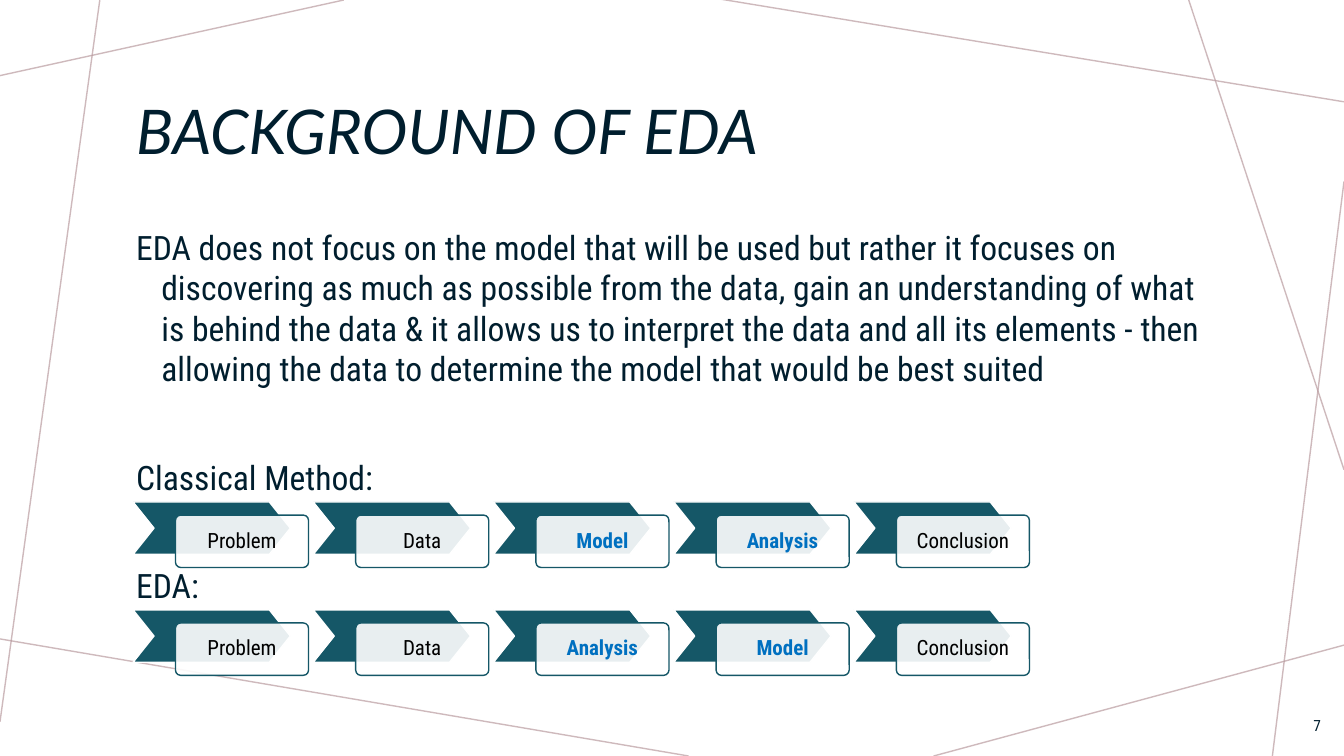
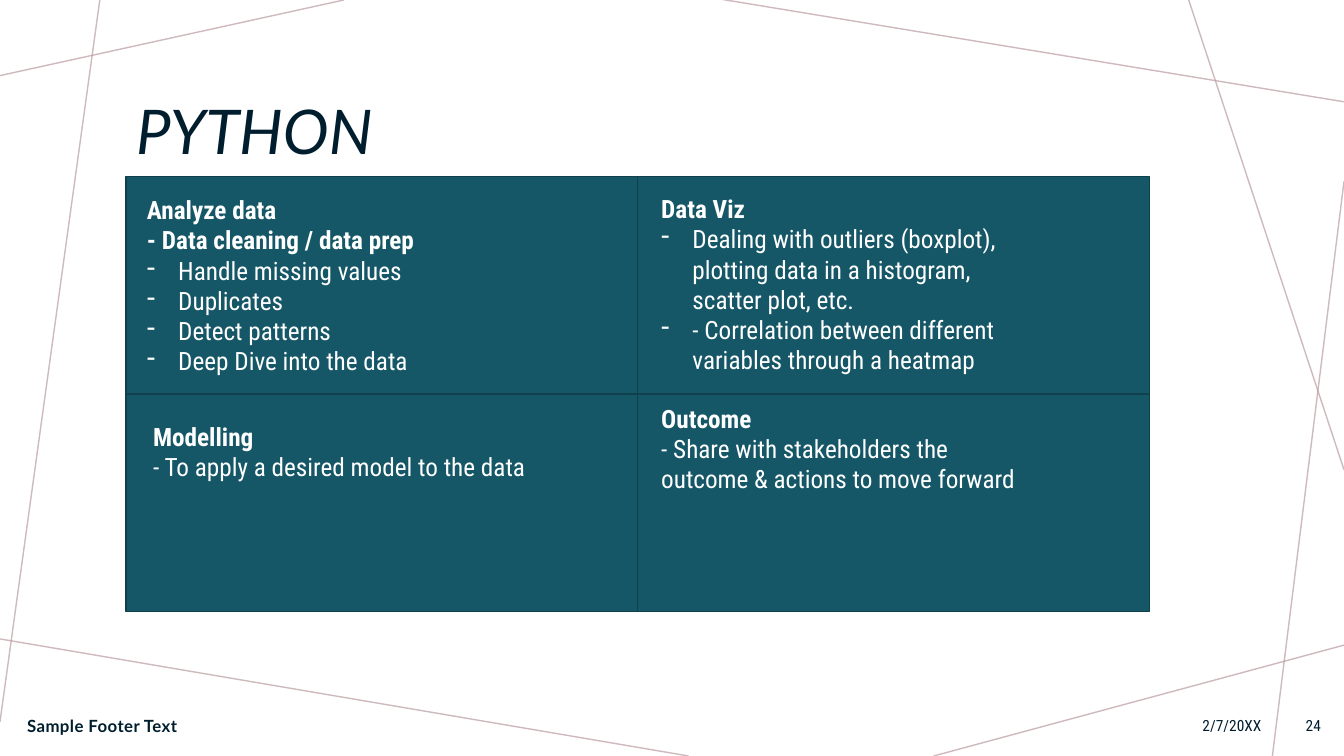
from dataclasses import dataclass

from lxml import etree
from pptx import Presentation
from pptx.dml.color import RGBColor
from pptx.enum.shapes import MSO_CONNECTOR, MSO_SHAPE
from pptx.enum.text import MSO_ANCHOR, MSO_AUTO_SIZE, PP_ALIGN
from pptx.oxml.ns import qn
from pptx.util import Inches, Pt


@dataclass(frozen=True)
class Theme:
    ink: str = "001E2E"
    teal: str = "155767"
    teal_dark: str = "10404C"
    rose: str = "BA9CA0"
    accent: str = "0070C0"
    white: str = "FFFFFF"
    black: str = "000000"
    head_font: str = "Lato"
    body_font: str = "Roboto Condensed"
    title_size: float = 44
    body_size: float = 24
    panel_size: float = 18
    step_size: float = 15
    footer_size: float = 12
    small_size: float = 11


T = Theme()
TITLE_ONLY, TITLE_AND_BODY = 5, 1
FRAME_LINES = [
    (3.41, 0, 0, 0.75),
    (0.99, 0, 0, 7.16),
    (6.83, 7.5, -0.05, 6.33),
    (13.33, 6.4, 9.26, 7.5),
    (13.33, 1.8, 12.62, 7.5),
    (13.33, 4.66, 11.79, 0),
    (13.33, 1.01, 7.14, -0.01),
]


def inches(*values):
    return [Inches(v) for v in values]


def set_alpha(parent, percent):
    """Make the solid colour found under an XML element partly transparent."""
    color = next(parent.iter(qn("a:srgbClr")))
    etree.SubElement(color, qn("a:alpha"), val=str(percent * 1000))


def set_indent(p, left, bullet=None):
    """Give a hanging indent, with a bullet character or none."""
    pPr = p._p.get_or_add_pPr()
    pPr.set("marL", str(Inches(left)))
    pPr.set("indent", str(-Inches(left)))
    if bullet:
        etree.SubElement(pPr, qn("a:buChar"), char=bullet)
    else:
        etree.SubElement(pPr, qn("a:buNone"))


def style(p, size, color, font=T.body_font, bold=False, italic=False):
    for r in p.runs:
        f = r.font
        f.name, f.size, f.bold, f.italic = font, Pt(size), bold, italic
        f.color.rgb = RGBColor.from_string(color)


def place(sp, box):
    sp.left, sp.top, sp.width, sp.height = inches(*box)


def add_paragraphs(tf, texts):
    tf.text = texts[0]
    for text in texts[1:]:
        tf.add_paragraph().text = text
    return tf.paragraphs


def add_text(s, box, texts, anchor=MSO_ANCHOR.TOP):
    tf = s.shapes.add_textbox(*inches(*box)).text_frame
    tf.word_wrap = True
    tf.vertical_anchor = anchor
    return add_paragraphs(tf, texts)


def add_block(s, kind, box, fill, line):
    sp = s.shapes.add_shape(kind, *inches(*box))
    sp.shadow.inherit = False
    sp.fill.solid()
    sp.fill.fore_color.rgb = RGBColor.from_string(fill)
    sp.line.color.rgb = RGBColor.from_string(line)
    sp.line.width = Pt(1)
    return sp


def add_frame_line(s, ends):
    line = s.shapes.add_connector(MSO_CONNECTOR.STRAIGHT, *inches(*ends))
    line.line.color.rgb = RGBColor.from_string(T.rose)
    line.line.width = Pt(1)
    spPr = line._element.spPr
    set_alpha(spPr, 70)
    etree.SubElement(spPr, qn("a:effectLst"))


def add_slide(prs, layout, title, number):
    """Add a slide with the shared frame lines, title and slide number."""
    s = prs.slides.add_slide(prs.slide_layouts[layout])
    for ends in FRAME_LINES:
        add_frame_line(s, ends)
    place(s.shapes.title, (1.25, 0.58, 10.83, 1.51))
    tf = s.shapes.title.text_frame
    tf.text = title
    tf.auto_size = MSO_AUTO_SIZE.NONE
    tf.vertical_anchor = MSO_ANCHOR.MIDDLE
    p = tf.paragraphs[0]
    p.alignment = PP_ALIGN.LEFT
    p.line_spacing = 0.9
    style(p, T.title_size, T.ink, T.head_font, italic=True)
    add_small_label(s, (12.69, 7, 0.51, 0.4), number)
    return s


def add_small_label(s, box, text):
    p = add_text(s, box, [text], MSO_ANCHOR.MIDDLE)[0]
    p.alignment = PP_ALIGN.RIGHT
    style(p, T.small_size, T.ink)


def add_footer(s, text, date):
    p = add_text(s, (0.17, 7, 4.92, 0.4), [text], MSO_ANCHOR.MIDDLE)[0]
    style(p, T.footer_size, T.ink, T.head_font, bold=True)
    p.runs[0]._r.get_or_add_rPr().set("spc", "30")
    add_small_label(s, (8.02, 7, 4.59, 0.4), date)


def fill_body(s, texts):
    body = s.placeholders[1]
    place(body, (1.25, 2.2, 10.83, 4.4))
    tf = body.text_frame
    tf.auto_size = MSO_AUTO_SIZE.NONE
    for i, p in enumerate(add_paragraphs(tf, texts)):
        set_indent(p, 0.25)
        p.space_before = Pt(48.8 if i else 0)
        style(p, T.body_size, T.ink)


def add_process(s, top, steps, highlighted):
    """Draw a row of chevrons, each with a label card in front."""
    left, pitch = 1.32, 1.7875
    for i, step in enumerate(steps):
        x = left + i * pitch
        chevron = add_block(s, MSO_SHAPE.CHEVRON, (x, top, 1.56, 0.52), T.teal, T.white)
        chevron.adjustments[0] = 0.4
        card = add_block(s, MSO_SHAPE.ROUNDED_RECTANGLE,
                         (x + 0.42, top + 0.13, 1.32, 0.52), T.white, T.teal)
        card.adjustments[0] = 0.1
        set_alpha(card.fill._xPr.find(qn("a:solidFill")), 90)
        tf = card.text_frame
        tf.margin_left = tf.margin_right = Inches(0.1)
        tf.vertical_anchor = MSO_ANCHOR.MIDDLE
        tf.text = step
        p = tf.paragraphs[0]
        p.alignment = PP_ALIGN.CENTER
        p.line_spacing = 0.9
        marked = step in highlighted
        style(p, T.step_size, T.accent if marked else T.black, bold=marked)


def add_panel_text(s, box, headings, lines, bulleted=False):
    """Write bold headings, then plain lines with or without dash bullets."""
    for i, p in enumerate(add_paragraphs_box(s, box, headings + lines)):
        is_heading = i < len(headings)
        if bulleted and not is_heading:
            set_indent(p, 0.31, "-")
        style(p, T.panel_size, T.white, bold=is_heading)


def add_paragraphs_box(s, box, texts):
    return add_text(s, box, texts)


def build_background(prs):
    s = add_slide(prs, TITLE_AND_BODY, "BACKGROUND OF EDA", "7")
    fill_body(s, [
        "EDA does not focus on the model that will be used but rather it focuses on "
        "discovering as much as possible from the data, gain an understanding of what "
        "is behind the data & it allows us to interpret the data and all its elements "
        "- then allowing the data to determine the model that would be best suited",
        "Classical Method:",
        "EDA:",
    ])
    highlighted = {"Model", "Analysis"}
    add_process(s, 4.98, ["Problem", "Data", "Model", "Analysis", "Conclusion"], highlighted)
    add_process(s, 6.05, ["Problem", "Data", "Analysis", "Model", "Conclusion"], highlighted)


def build_python(prs):
    s = add_slide(prs, TITLE_ONLY, "PYTHON", "24")
    add_footer(s, "Sample Footer Text", "2/7/20XX")
    width, height = 5.075, 2.16
    for col in range(2):
        for row in range(2):
            box = (1.25 + col * width, 1.75 + row * height, width, height)
            add_block(s, MSO_SHAPE.FLOWCHART_PROCESS, box, T.teal, T.teal_dark)
    add_panel_text(s, (1.36, 1.88, 4.9, 1.92),
                   ["Analyze data", "- Data cleaning / data prep"],
                   ["Handle missing values", "Duplicates", "Detect patterns",
                    "Deep Dive into the data"], bulleted=True)
    add_panel_text(s, (6.46, 1.87, 3.94, 1.92), ["Data Viz"],
                   ["Dealing with outliers (boxplot), plotting data in a histogram, "
                    "scatter plot, etc.",
                    "- Correlation between different variables through a heatmap"],
                   bulleted=True)
    add_panel_text(s, (1.42, 4.13, 3.94, 0.71), ["Modelling"],
                   ["- To apply a desired model to the data"])
    add_panel_text(s, (6.46, 3.95, 3.94, 1.01), ["Outcome"],
                   ["- Share with stakeholders the outcome & actions to move forward"])


def main():
    prs = Presentation()
    prs.slide_width, prs.slide_height = inches(13.33, 7.5)
    build_background(prs)
    build_python(prs)
    prs.save("out.pptx")


if __name__ == "__main__":
    main()
